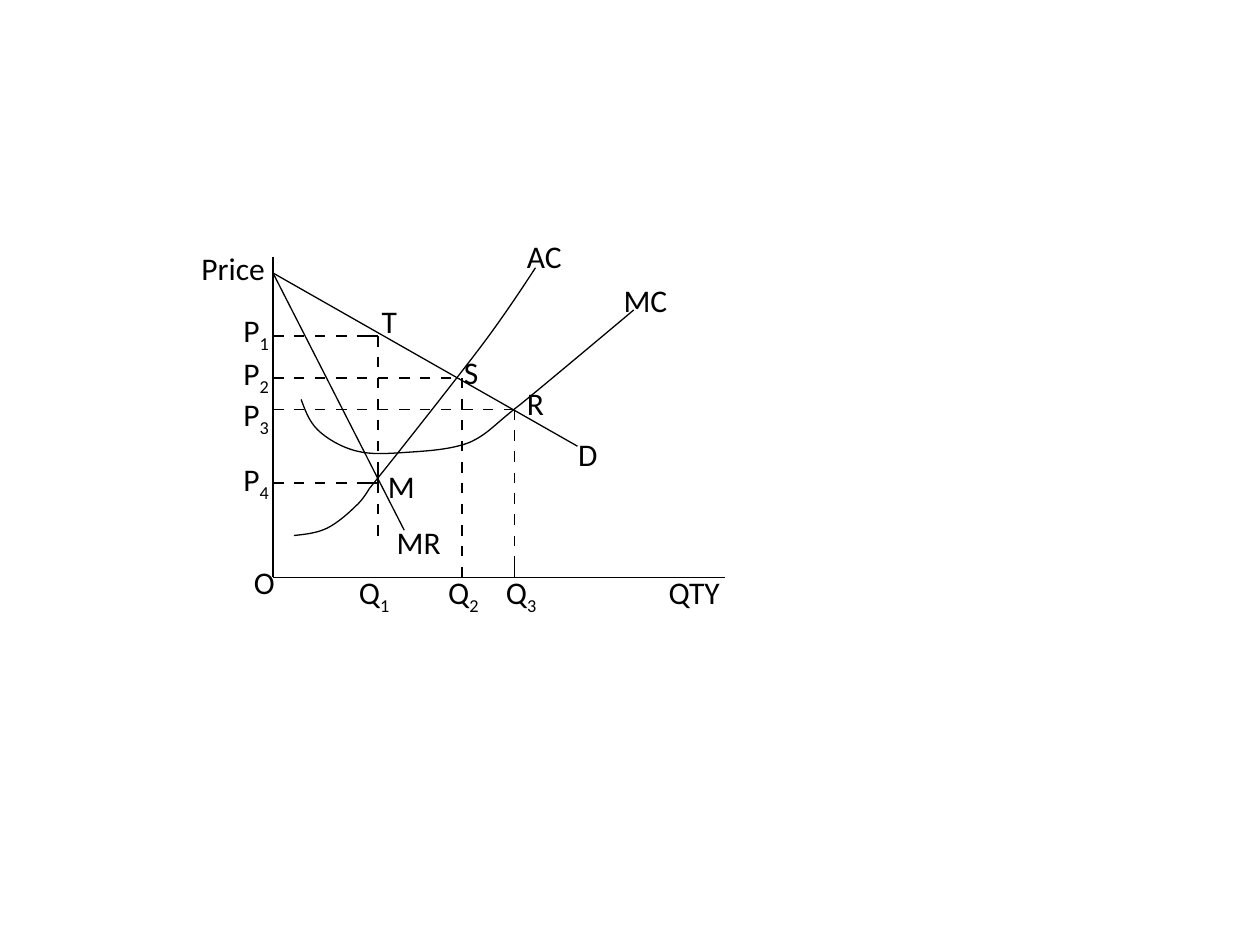
import dataclasses

import pptx
import pptx.dml.color
import pptx.enum.shapes
import pptx.enum.text
import pptx.oxml
import pptx.oxml.ns
import pptx.util


@dataclasses.dataclass(frozen=True)
class Theme:
    ink: pptx.dml.color.RGBColor = pptx.dml.color.RGBColor(0, 0, 0)
    font: str = "Calibri"
    label_size: int = 18
    line_width: float = 0.75
    cell: float = pptx.util.Cm(2.54) / 12


@dataclasses.dataclass(frozen=True)
class Box:
    left: float
    top: float
    width: float
    height: float

    def place(self, across, up):
        cell = THEME.cell
        return (round((self.left + across) * cell),
                round((self.top + self.height - up) * cell))


THEME = Theme()
LABEL_HEIGHT = 4.8

PRICES = {"P1": 23, "P2": 19, "P3": 16, "P4": 9}
QUANTITIES = {"Q1": 10, "Q2": 18, "Q3": 23}

AVERAGE_COST = [
    (2, 4), (3.16, 4.12), (4.24, 4.24), (5.2, 4.72),
    (6.16, 5.2), (7.24, 6.16), (7.84, 6.76),
    (8.56, 7.36), (9.16, 8.44), (9.16, 8.44),
    (11.2, 10.96), (17.08, 18.4), (19.72, 21.88),
    (22.36, 25.36), (25, 29.5), (25, 29.5),
]
MARGINAL_COST = [
    (2.68, 16.96), (3.04, 16), (3.4, 14.92), (4.24, 14.08),
    (5.08, 13.24), (6.52, 12.4), (7.96, 12.04),
    (9.4, 11.68), (10.96, 11.8), (12.76, 11.92),
    (14.56, 12.04), (16.96, 12.16), (18.76, 12.88),
    (20.56, 13.72), (20.92, 14.44), (23.56, 16.48),
    (26.08, 18.52), (34.36, 25.48), (34.36, 25.48),
]

LABELS = [
    ("AC", "", 23, 33, 5.76), ("MC", "", 32.2, 28.84, 6.6),
    ("S", "", 17, 22, 3.84), ("R", "", 23, 19, 4.08),
    ("D", "", 27.88, 14.2, 4.32), ("T", "", 9.16, 26.8, 3.84),
    ("M", "", 9.76, 11.08, 5.04), ("MR", "", 10.6, 5.8, 6.6),
    ("P", "1", -4, 26, 5.04), ("P", "2", -4, 21.88, 5.04),
    ("P", "3", -4, 18, 5.04), ("P", "4", -4, 11.8, 5.04),
    ("O", "", -3, 2, 4.44), ("Q", "1", 7, 1, 5.52),
    ("Q", "2", 15.5, 1, 5.52), ("Q", "3", 21, 1, 5.52),
    ("QTY", "", 36.5, 1, 7.32), ("Price", "", -8, 31.84, 9.24),
]


def style_line(line):
    line.color.rgb = THEME.ink
    line.width = pptx.util.Pt(THEME.line_width)


def draw_line(slide, box, start, end):
    line = slide.shapes.add_connector(
        pptx.enum.shapes.MSO_CONNECTOR.STRAIGHT, *box.place(*start), *box.place(*end))
    style_line(line.line)
    line._element.spPr.append(pptx.oxml.parse_xml(
        f"<a:effectLst {pptx.oxml.ns.nsdecls('a')}/>"))


def draw_dashes(slide, box, start, direction, length, joined=False):
    def along(distance):
        return start[0] + direction[0] * distance, start[1] + direction[1] * distance

    dash_starts = range(0, length, 2)
    for dash in dash_starts:
        reaches_end = joined and dash == dash_starts[-1]
        draw_line(slide, box, along(dash), along(length if reaches_end else dash + 1))


def draw_curve(slide, box, points):
    first, *rest = [box.place(*point) for point in points]
    builder = slide.shapes.build_freeform(*first)
    builder.add_line_segments(rest, close=False)
    curve = builder.convert_to_shape()
    curve.shadow.inherit = False
    curve.fill.background()
    style_line(curve.line)
    outline = curve._element.find(".//" + pptx.oxml.ns.qn("a:path"))
    segments = outline.findall(pptx.oxml.ns.qn("a:lnTo"))
    for index in range(0, len(segments), 3):
        bezier = pptx.oxml.parse_xml(f"<a:cubicBezTo {pptx.oxml.ns.nsdecls('a')}/>")
        for segment in segments[index:index + 3]:
            bezier.append(segment[0])
            outline.remove(segment)
        outline.append(bezier)


def add_text(slide, text, *, at, width, subscript=""):
    label = slide.shapes.add_textbox(
        *at, round(width * THEME.cell), round(LABEL_HEIGHT * THEME.cell))
    frame = label.text_frame
    frame.word_wrap = False
    frame.auto_size = pptx.enum.text.MSO_AUTO_SIZE.SHAPE_TO_FIT_TEXT
    for part, baseline in ((text, 0), (subscript, -25000)):
        if not part:
            continue
        run = frame.paragraphs[0].add_run()
        run.text = part
        run.font.name = THEME.font
        run.font.size = pptx.util.Pt(THEME.label_size)
        run.font.color.rgb = THEME.ink
        if baseline:
            run.font._element.set("baseline", str(baseline))


def draw_market_diagram(slide, box):
    intercept = (0, 29)
    draw_line(slide, box, (0, box.height), (0, 0))
    draw_line(slide, box, (0, 0), (box.width, 0))
    for curve_end in ((12.5, 4.5), (29, 12.5)):
        draw_line(slide, box, intercept, curve_end)

    for price, quantity, joined in (
            ("P1", "Q1", True), ("P2", "Q2", False),
            ("P3", "Q3", False), ("P4", "Q1", True)):
        draw_dashes(slide, box, (0, PRICES[price]), (1, 0), QUANTITIES[quantity], joined)
    for quantity, price, bottom, joined in (
            ("Q1", "P1", 4, False), ("Q2", "P2", 0, False), ("Q3", "P3", 0, True)):
        draw_dashes(slide, box, (QUANTITIES[quantity], PRICES[price]), (0, -1),
                    PRICES[price] - bottom, joined)
    draw_line(slide, box, (QUANTITIES["Q1"], PRICES["P4"] + 1),
              (QUANTITIES["Q1"], PRICES["P4"]))

    for points in (AVERAGE_COST, MARGINAL_COST):
        draw_curve(slide, box, points)
    for text, subscript, across, up, width in LABELS:
        add_text(slide, text, at=box.place(across, up), width=width, subscript=subscript)


def main():
    deck = pptx.Presentation()
    deck.slide_width = pptx.util.Cm(25.4)
    deck.slide_height = pptx.util.Cm(19.05)
    slide = deck.slides.add_slide(deck.slide_layouts[6])
    draw_market_diagram(slide, Box(left=26, top=24.5, width=43, height=30.5))
    deck.save("out.pptx")


if __name__ == "__main__":
    main()
